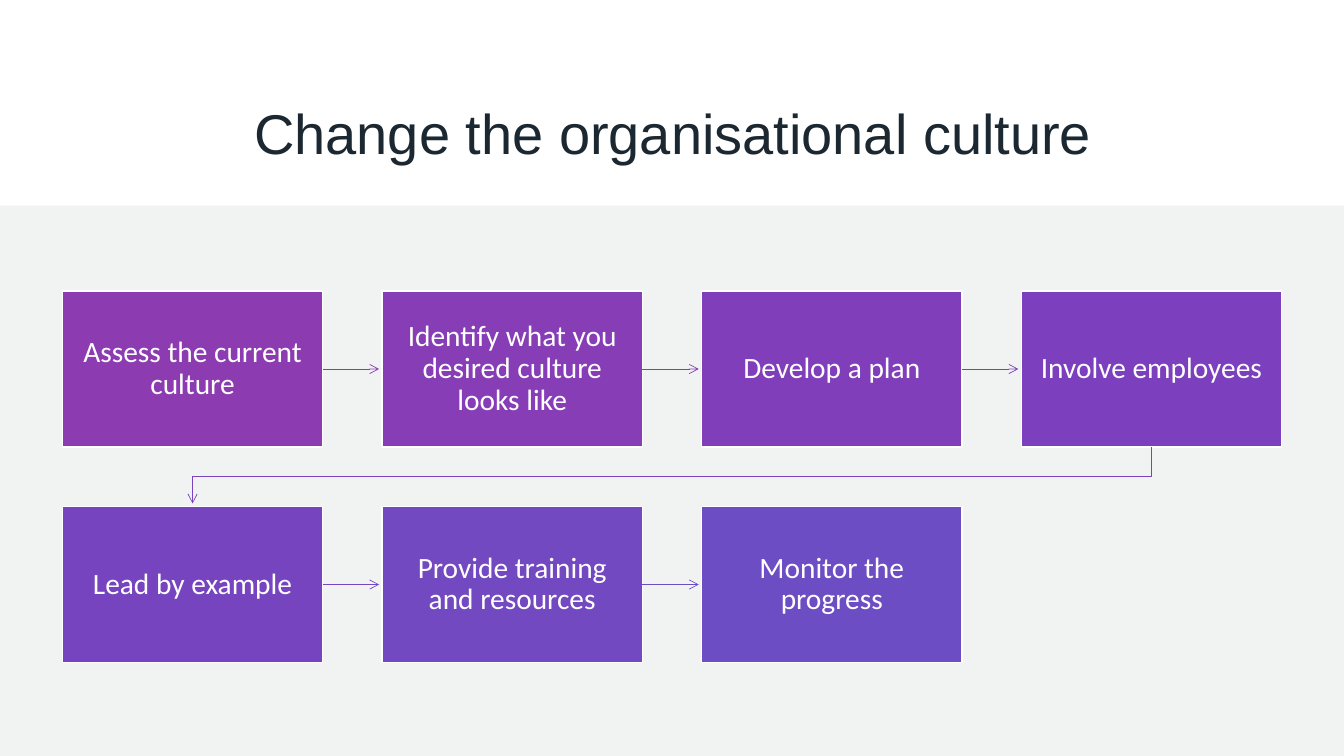
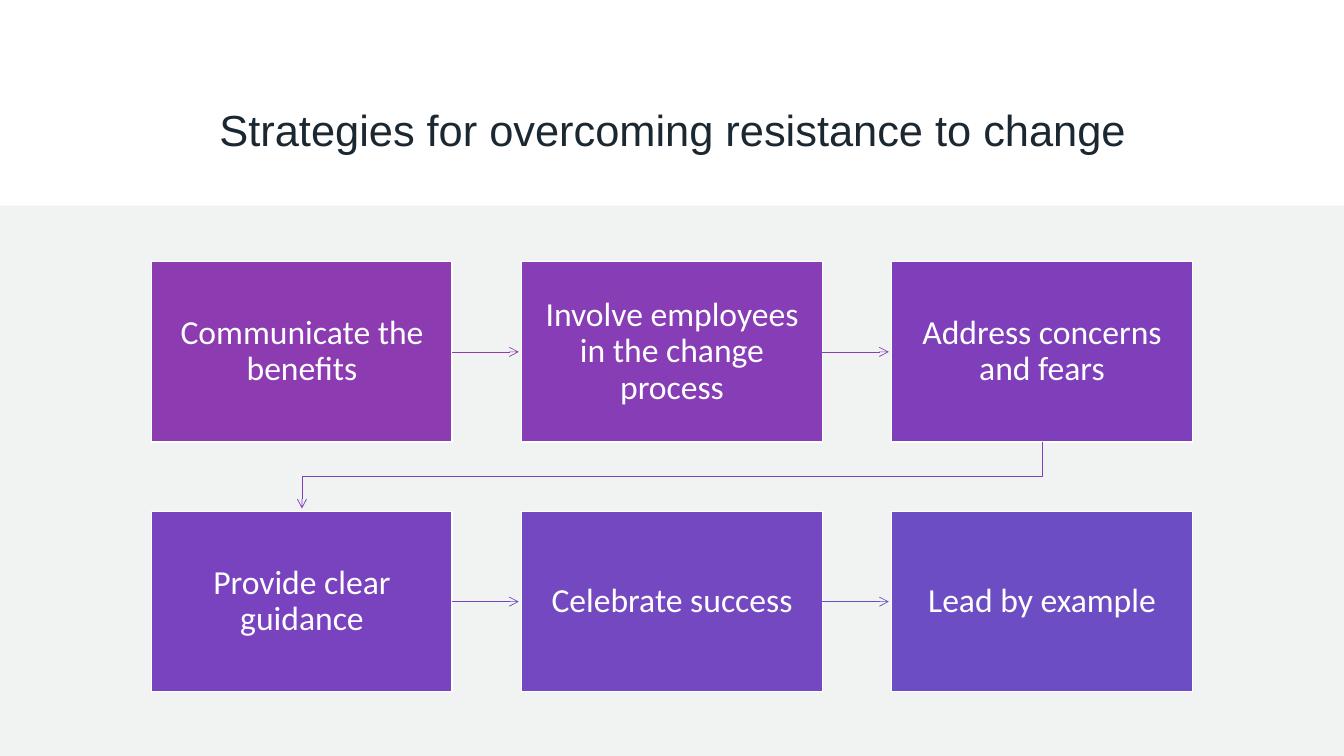
from dataclasses import dataclass
from itertools import pairwise

from lxml.etree import SubElement
from pptx import Presentation
from pptx.dml.color import RGBColor
from pptx.enum.shapes import MSO_CONNECTOR, MSO_SHAPE
from pptx.enum.text import MSO_ANCHOR, PP_ALIGN
from pptx.oxml.ns import qn
from pptx.util import Inches, Pt


SLIDES = [
    {
        "title": "Change the organisational culture",
        "title_size": 40,
        "title_spacing": 1.0,
        "columns": 4,
        "box_width": 2.58,
        "gap": 0.59,
        "step_size": 21,
        "steps": [
            "Assess the current culture",
            "Identify what you desired culture looks like",
            "Develop a plan",
            "Involve employees",
            "Lead by example",
            "Provide training and resources",
            "Monitor the progress",
        ],
    },
    {
        "title": "Strategies for overcoming resistance to change",
        "title_size": 31,
        "title_spacing": 0.9,
        "columns": 3,
        "box_width": 2.98,
        "gap": 0.69,
        "step_size": 24,
        "steps": [
            "Communicate the benefits",
            "Involve employees in the change process",
            "Address concerns and fears",
            "Provide clear guidance",
            "Celebrate success",
            "Lead by example",
        ],
    },
]


@dataclass(frozen=True)
class Theme:
    width: float = 13.33
    height: float = 7.5
    title_area: tuple = (1.56, 0.77, 10.22, 1.09)
    band_top: float = 2.04
    flow_center: float = 4.73
    box_ratio: float = 0.6
    inset_ratio: float = 0.05
    arrow_clearance: float = 0.03
    title_font: str = "Arial"
    step_font: str = "Calibri"
    ink: str = "1C2831"
    white: str = "FFFFFF"
    band: str = "F0F3F1"
    ramp: tuple = ("8C3BB1", "7C40BE", "6D4DC3")
    box_line: float = 1
    arrow_line: float = 0.5


THEME = Theme()


def rgb(color):
    return RGBColor.from_string(color)


def ramp_color(index, count):
    position = index / (count - 1) * (len(THEME.ramp) - 1)
    stop = min(int(position), len(THEME.ramp) - 2)
    share = position - stop
    pairs = zip(rgb(THEME.ramp[stop]), rgb(THEME.ramp[stop + 1]))
    return "".join(f"{round(low + (high - low) * share):02X}" for low, high in pairs)


def write_text(shape, text, *, font, size, color, inset=0.1, spacing=1.0):
    frame = shape.text_frame
    frame.word_wrap = True
    frame.vertical_anchor = MSO_ANCHOR.MIDDLE
    frame.margin_left = frame.margin_right = Inches(inset)
    frame.margin_top = frame.margin_bottom = Inches(inset)
    paragraph = frame.paragraphs[0]
    paragraph.text = text
    paragraph.alignment = PP_ALIGN.CENTER
    paragraph.line_spacing = spacing
    paragraph.font.name = font
    paragraph.font.size = Pt(size)
    paragraph.font.color.rgb = rgb(color)


def add_rectangle(slide, area, fill, line=None):
    shape = slide.shapes.add_shape(MSO_SHAPE.RECTANGLE, *map(Inches, area))
    shape.shadow.inherit = False
    shape.fill.solid()
    shape.fill.fore_color.rgb = rgb(fill)
    if line:
        shape.line.color.rgb = rgb(line)
        shape.line.width = Pt(THEME.box_line)
    else:
        shape.line.fill.background()
    return shape


def style_arrow(arrow, color):
    arrow.line.color.rgb = rgb(color)
    arrow.line.width = Pt(THEME.arrow_line)
    SubElement(arrow.line._get_or_add_ln(), qn("a:tailEnd"), type="arrow")


def add_straight_arrow(slide, source, target, color):
    middle = source.top + source.height // 2
    end = target.left - Inches(THEME.arrow_clearance)
    arrow = slide.shapes.add_connector(
        MSO_CONNECTOR.STRAIGHT, source.left + source.width, middle, end, middle
    )
    arrow.begin_connect(source, 3)
    style_arrow(arrow, color)
    SubElement(arrow._element.spPr, qn("a:effectLst"))


def add_return_arrow(slide, source, target, color):
    start_x = source.left + source.width // 2
    end_x = target.left + target.width // 2
    start_y = source.top + source.height
    turn_y = (start_y + target.top) // 2
    end_y = target.top - Inches(THEME.arrow_clearance)
    outline = slide.shapes.build_freeform(start_x, start_y)
    outline.add_line_segments(
        [(start_x, turn_y), (end_x, turn_y), (end_x, end_y)], close=False
    )
    arrow = outline.convert_to_shape()
    arrow.shadow.inherit = False
    arrow.fill.background()
    style_arrow(arrow, color)


def add_flow(slide, content):
    steps, columns = content["steps"], content["columns"]
    width, gap = content["box_width"], content["gap"]
    height = width * THEME.box_ratio
    rows = -(-len(steps) // columns)
    left = (THEME.width - columns * width - (columns - 1) * gap) / 2
    top = THEME.flow_center - (rows * height + (rows - 1) * gap) / 2
    boxes = []
    for index, step in enumerate(steps):
        row, column = divmod(index, columns)
        area = (left + column * (width + gap), top + row * (height + gap), width, height)
        box = add_rectangle(slide, area, ramp_color(index, len(steps)), THEME.white)
        write_text(
            box,
            step,
            font=THEME.step_font,
            size=content["step_size"],
            color=THEME.white,
            inset=width * THEME.inset_ratio,
            spacing=0.9,
        )
        boxes.append(box)
    for index, (source, target) in enumerate(pairwise(boxes)):
        add_arrow = add_straight_arrow if source.top == target.top else add_return_arrow
        add_arrow(slide, source, target, ramp_color(index, len(boxes) - 1))


def add_flow_slide(presentation, content):
    slide = presentation.slides.add_slide(presentation.slide_layouts[6])
    title = slide.shapes.add_textbox(*map(Inches, THEME.title_area))
    write_text(
        title,
        content["title"],
        font=THEME.title_font,
        size=content["title_size"],
        color=THEME.ink,
        spacing=content["title_spacing"],
    )
    band_area = (0, THEME.band_top, THEME.width, THEME.height - THEME.band_top)
    add_rectangle(slide, band_area, THEME.band)
    add_flow(slide, content)


def main():
    presentation = Presentation()
    presentation.slide_width = Inches(THEME.width)
    presentation.slide_height = Inches(THEME.height)
    for content in SLIDES:
        add_flow_slide(presentation, content)
    presentation.save("out.pptx")


if __name__ == "__main__":
    main()
